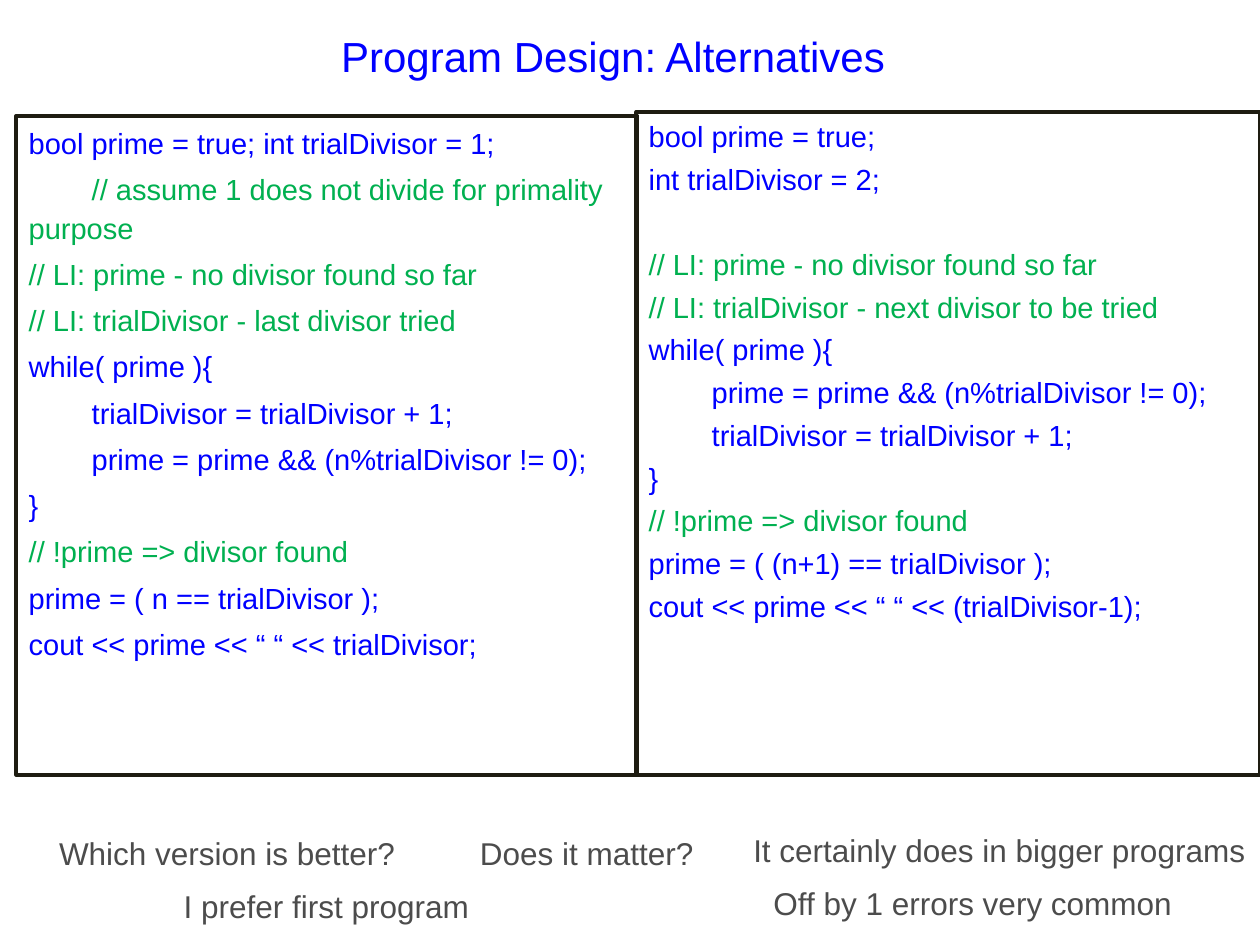
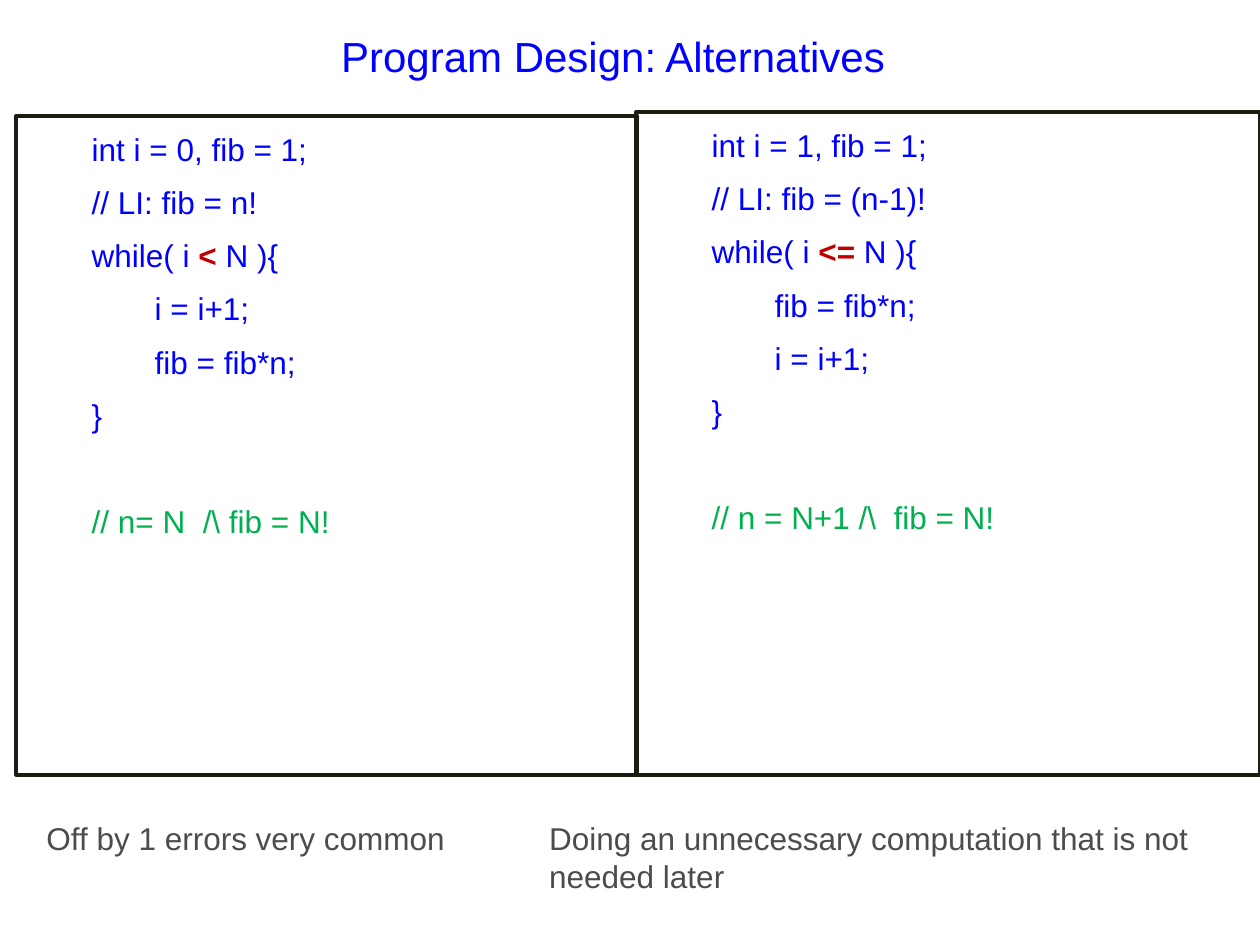
"""Build two slides that compare alternative versions of short programs."""
from lxml.etree import SubElement
from pptx import Presentation
from pptx.dml.color import RGBColor
from pptx.enum.shapes import MSO_SHAPE
from pptx.enum.text import MSO_ANCHOR, MSO_AUTO_SIZE, PP_ALIGN
from pptx.oxml.ns import qn
from pptx.util import Inches, Pt

BLUE = RGBColor(0x00, 0x00, 0xFF)
GREEN = RGBColor(0x00, 0xB0, 0x50)
RED = RGBColor(0xC0, 0x00, 0x00)
GREY = RGBColor(0x4C, 0x4C, 0x4C)
BORDER = RGBColor(0x1E, 0x1C, 0x11)

FONT = "Arial"
LINE_HEIGHT = 1.2
CODE_GAP = 4.5
TAB_STEP = 0.5
TAB_COUNT = 8
BLANK_LINE = ()

TITLE = "Program Design: Alternatives"
TITLE_AREA = (1.02, 0, 7.69, 0.89)
LEFT_PANEL = (0.13, 0.92, 4.93, 5.23)
RIGHT_PANEL = (5.05, 0.89, 4.95, 5.26)
NOTE_SIZE = 18

PRIME_LAST_TRIED = [
    [("bool prime = true; int trialDivisor = 1;", BLUE)],
    [("\t// assume 1 does not divide for primality purpose", GREEN)],
    [("// LI: prime - no divisor found so far", GREEN)],
    [("// LI: trialDivisor - last divisor tried", GREEN)],
    [("while( prime ){", BLUE)],
    [("\ttrialDivisor = trialDivisor + 1;", BLUE)],
    [("\tprime = prime && (n%trialDivisor != 0);", BLUE)],
    [("}", BLUE)],
    [("// !prime => divisor found", GREEN)],
    [("prime = ( n == trialDivisor );", BLUE)],
    [("cout << prime << “ “ << trialDivisor;", BLUE)],
]
PRIME_NEXT_TO_TRY = [
    [("bool prime = true;", BLUE)],
    [("int trialDivisor = 2;", BLUE)],
    BLANK_LINE,
    [("// LI: prime - no divisor found so far", GREEN)],
    [("// LI: trialDivisor - next divisor to be tried", GREEN)],
    [("while( prime ){", BLUE)],
    [("\tprime = prime && (n%trialDivisor != 0);", BLUE)],
    [("\ttrialDivisor = trialDivisor + 1;", BLUE)],
    [("}", BLUE)],
    [("// !prime => divisor found", GREEN)],
    [("prime = ( (n+1) == trialDivisor );", BLUE)],
    [("cout << prime << “ “ << (trialDivisor-1);", BLUE)],
]
FACTORIAL_FROM_ZERO = [
    [("\tint i = 0, fib = 1;", BLUE)],
    [("\t// LI: fib = n!", BLUE)],
    [("\twhile( i ", BLUE), ("<", RED), (" N ){", BLUE)],
    [("\t\ti = i+1;", BLUE)],
    [("\t\tfib = fib*n;", BLUE)],
    [("\t}", BLUE)],
    BLANK_LINE,
    [("\t// n= N  /\\ fib = N!", GREEN)],
]
FACTORIAL_FROM_ONE = [
    [("\tint i = 1, fib = 1;", BLUE)],
    [("\t// LI: fib = (n-1)!", BLUE)],
    [("\twhile( i ", BLUE), ("<=", RED), (" N ){", BLUE)],
    [("\t\tfib = fib*n;", BLUE)],
    [("\t\ti = i+1;", BLUE)],
    [("\t}", BLUE)],
    BLANK_LINE,
    [("\t// n = N+1 /\\  fib = N!", GREEN)],
]

SLIDES = [
    {
        "size": 16.6,
        "panels": [(RIGHT_PANEL, 1.0, PRIME_NEXT_TO_TRY),
                   (LEFT_PANEL, 1.1, PRIME_LAST_TRIED)],
        "notes": [
            ((0.37, 6.57, 2.89, 0.4), ["Which version is better?"]),
            ((3.71, 6.57, 1.92, 0.4), ["Does it matter?"]),
            ((5.88, 6.55, 4.12, 0.4), ["It certainly does in bigger programs"]),
            ((6.04, 6.97, 3.38, 0.4), ["Off by 1 errors very common"]),
            ((1.36, 6.99, 2.49, 0.4), ["I prefer first program"]),
        ],
    },
    {
        "size": 18,
        "panels": [(RIGHT_PANEL, 1.2, FACTORIAL_FROM_ONE),
                   (LEFT_PANEL, 1.2, FACTORIAL_FROM_ZERO)],
        "notes": [
            ((0.27, 6.45, 3.38, 0.4), ["Off by 1 errors very common"]),
            ((4.26, 6.45, 5.29, 0.7),
             ["Doing an unnecessary computation that is not", "needed later"]),
        ],
    },
]


def add_tab_stops(para):
    tab_list = SubElement(para._p.get_or_add_pPr(), qn("a:tabLst"))
    for stop in range(TAB_COUNT):
        SubElement(tab_list, qn("a:tab"),
                   pos=str(Inches(stop * TAB_STEP)), algn="l")


def write_lines(frame, lines, size, spacing=1.0, gap=0, align=PP_ALIGN.LEFT):
    pitch = round(size * LINE_HEIGHT * spacing, 1)
    para, space = frame.paragraphs[0], 0
    for index, spans in enumerate(lines):
        if not spans:
            space += pitch + gap
            continue
        if index:
            para = frame.add_paragraph()
        add_tab_stops(para)
        para.alignment = align
        para.line_spacing = Pt(pitch)
        para.space_before = Pt(space)
        for text, color in spans:
            span = para.add_run()
            span.text = text
            span.font.name = FONT
            span.font.size = Pt(size)
            span.font.color.rgb = color
            span.font.bold = color == RED
        space = gap


def add_title(page):
    frame = page.shapes.add_textbox(*map(Inches, TITLE_AREA)).text_frame
    frame.word_wrap = True
    frame.vertical_anchor = MSO_ANCHOR.MIDDLE
    write_lines(frame, [[(TITLE, BLUE)]], 24, align=PP_ALIGN.CENTER)


def add_code_panel(page, area, spacing, code, size):
    box = page.shapes.add_shape(MSO_SHAPE.RECTANGLE, *map(Inches, area))
    box.shadow.inherit = False
    box.fill.background()
    box.line.color.rgb = BORDER
    box.line.width = Pt(2.25)
    box.text_frame.word_wrap = True
    box.text_frame.vertical_anchor = MSO_ANCHOR.TOP
    write_lines(box.text_frame, code, size, spacing, CODE_GAP)


def add_note(page, area, lines):
    frame = page.shapes.add_textbox(*map(Inches, area)).text_frame
    frame.word_wrap = False
    frame.auto_size = MSO_AUTO_SIZE.SHAPE_TO_FIT_TEXT
    write_lines(frame, [[(line, GREY)] for line in lines], NOTE_SIZE)


def main():
    deck = Presentation()
    deck.slide_width, deck.slide_height = Inches(10), Inches(7.5)
    for content in SLIDES:
        page = deck.slides.add_slide(deck.slide_layouts[6])
        add_title(page)
        for area, spacing, code in content["panels"]:
            add_code_panel(page, area, spacing, code, content["size"])
        for area, lines in content["notes"]:
            add_note(page, area, lines)
    deck.save("out.pptx")


if __name__ == "__main__":
    main()
